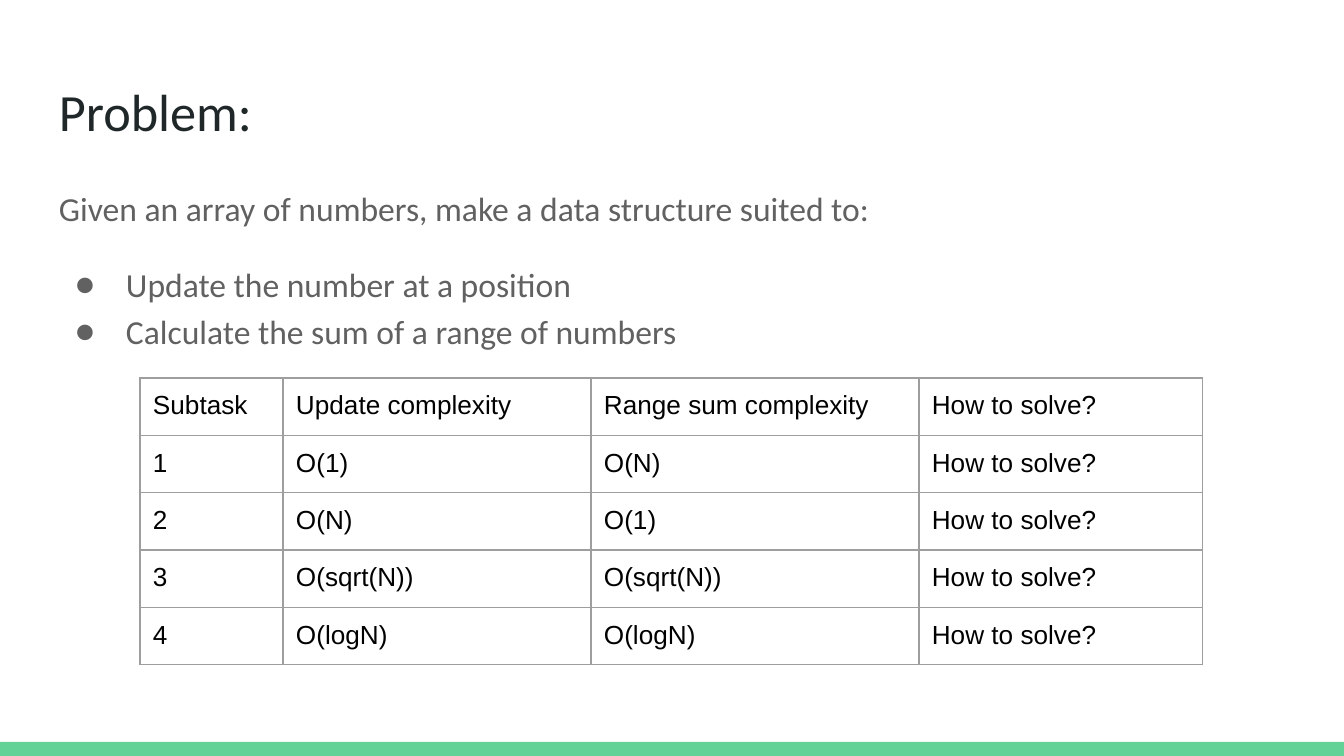
from dataclasses import dataclass

from lxml import etree
from pptx import Presentation
from pptx.dml.color import RGBColor
from pptx.enum.shapes import MSO_SHAPE
from pptx.enum.text import MSO_ANCHOR
from pptx.oxml.ns import qn
from pptx.util import Emu, Pt

RECT = MSO_SHAPE.RECTANGLE
TOP = MSO_ANCHOR.TOP
EMU_PER_PX = 914400 / 134.4
INSET = 13


@dataclass(frozen=True)
class Theme:
    heading_font: str = "Calibri"
    table_font: str = "Arial"
    title: str = "202729"
    body: str = "616161"
    cell: str = "000000"
    border: str = "9E9E9E"
    accent: str = "63D297"
    title_size: float = 28
    body_size: float = 18
    cell_size: float = 14
    border_width: float = 0.75


THEME = Theme()


def px(n):
    return Emu(round(n * EMU_PER_PX))


def add_run(p, text, font, size, color):
    r = p.add_run()
    r.text = text
    r.font.name = font
    r.font.size = Pt(size)
    r.font.color.rgb = RGBColor.from_string(color)


def set_insets(target):
    """Give a text frame or a table cell the same margin on all sides."""
    target.margin_left = target.margin_right = px(INSET)
    target.margin_top = target.margin_bottom = px(INSET)


def add_text_frame(slide, box):
    tf = slide.shapes.add_textbox(*map(px, box)).text_frame
    tf.word_wrap = True
    tf.vertical_anchor = TOP
    set_insets(tf)
    return tf


def set_bullet(p, indent, hanging):
    pPr = p._p.get_or_add_pPr()
    pPr.set("marL", str(px(indent)))
    pPr.set("indent", str(-px(hanging)))
    color = etree.SubElement(pPr, qn("a:buClr"))
    etree.SubElement(color, qn("a:srgbClr"), val=THEME.body)
    etree.SubElement(pPr, qn("a:buFont"), typeface=THEME.heading_font)
    etree.SubElement(pPr, qn("a:buChar"), char="●")


def set_borders(cell):
    tcPr = cell._tc.get_or_add_tcPr()
    for side in ("lnL", "lnR", "lnT", "lnB"):
        ln = etree.SubElement(tcPr, qn(f"a:{side}"), w=str(Pt(THEME.border_width)))
        fill = etree.SubElement(ln, qn("a:solidFill"))
        etree.SubElement(fill, qn("a:srgbClr"), val=THEME.border)


def add_footer_bar(slide, box):
    bar = slide.shapes.add_shape(RECT, *map(px, box))
    bar.shadow.inherit = False
    bar.fill.solid()
    bar.fill.fore_color.rgb = RGBColor.from_string(THEME.accent)
    bar.line.fill.background()


def add_title(slide, box, text):
    p = add_text_frame(slide, box).paragraphs[0]
    add_run(p, text, THEME.heading_font, THEME.title_size, THEME.title)


def add_body(slide, box, intro, bullets):
    tf = add_text_frame(slide, box)
    for i, text in enumerate([intro, *bullets]):
        p = tf.add_paragraph() if i else tf.paragraphs[0]
        p.line_spacing = 1.15
        p.space_before = Pt(16 if i == 1 else 0)
        if i:
            set_bullet(p, indent=67, hanging=51)
        add_run(p, text, THEME.heading_font, THEME.body_size, THEME.body)


def add_complexity_table(slide, left, top, col_widths, row_height, rows):
    box = (left, top, sum(col_widths), row_height * len(rows))
    table = slide.shapes.add_table(len(rows), len(col_widths), *map(px, box)).table
    table.first_row = table.horz_banding = False
    for column, width in zip(table.columns, col_widths):
        column.width = px(width)
    for row, texts in zip(table.rows, rows):
        row.height = px(row_height)
        for cell, text in zip(row.cells, texts):
            set_insets(cell)
            set_borders(cell)
            cell.fill.background()
            add_run(cell.text_frame.paragraphs[0], text,
                    THEME.table_font, THEME.cell_size, THEME.cell)


def build_problem_slide(prs):
    slide = prs.slides.add_slide(prs.slide_layouts[6])
    add_footer_bar(slide, (0, 742, 1344, 14))
    add_title(slide, (46, 66, 1252, 84), "Problem:")
    add_body(
        slide, (46, 169, 1252, 503),
        "Given an array of numbers, make a data structure suited to:",
        ["Update the number at a position", "Calculate the sum of a range of numbers"],
    )
    question = "How to solve?"
    complexities = [("O(1)", "O(N)"), ("O(N)", "O(1)"),
                    ("O(sqrt(N))", "O(sqrt(N))"), ("O(logN)", "O(logN)")]
    rows = [("Subtask", "Update complexity", "Range sum complexity", question)]
    rows += [(str(n), update, range_sum, question)
             for n, (update, range_sum) in enumerate(complexities, 1)]
    add_complexity_table(slide, 140, 378, (143, 308, 328, 284), 56, rows)


def main():
    prs = Presentation()
    prs.slide_width, prs.slide_height = px(1344), px(756)
    build_problem_slide(prs)
    prs.save("out.pptx")


if __name__ == "__main__":
    main()
